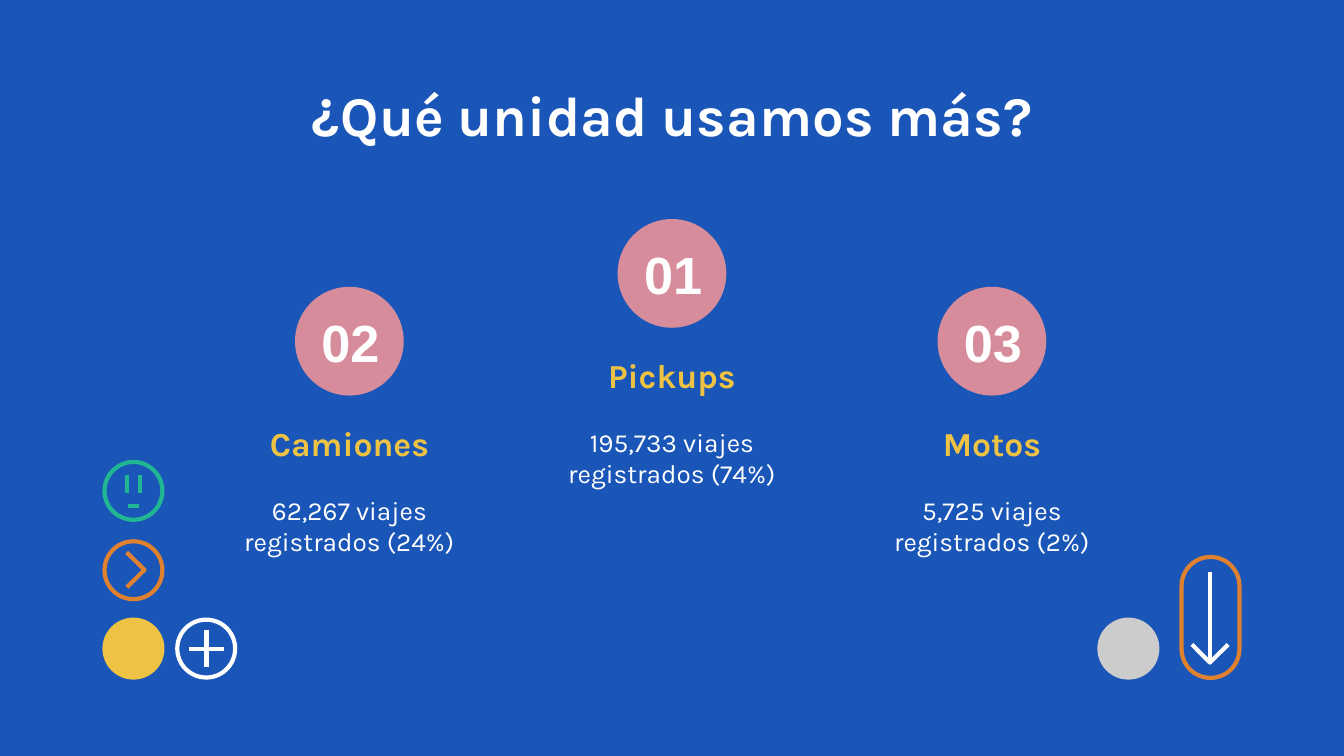
from lxml import etree
from pptx import Presentation
from pptx import util as u
from pptx.dml import color
from pptx.enum import shapes, text
from pptx.oxml import ns

BLUE, WHITE, YELLOW, PINK = "1A56B8", "FFFFFF", "EEC242", "D78C9B"
GREEN, ORANGE, GREY = "21B793", "E08130", "CCCCCC"
ICON = 31
BADGE = 56


def rgb(value):
    """Turn a hex string into a colour."""
    return color.RGBColor.from_string(value)


def apply(target, values):
    """Set every attribute named in a dict."""
    for name, value in values.items():
        setattr(target, name, value)


class Page:
    """Holds the style and the current slide; lengths are in points."""

    font = "Karla"
    stroke = 2.25
    frame = dict(word_wrap=True, margin_left=0, margin_right=0, margin_top=0,
                 margin_bottom=0, vertical_anchor=text.MSO_ANCHOR.MIDDLE,
                 auto_size=text.MSO_AUTO_SIZE.NONE)

    def __init__(self, slide, background):
        """Take a slide and colour its background."""
        self.slide = slide
        slide.background.fill.solid()
        slide.background.fill.fore_color.rgb = rgb(background)

    def set_words(self, box, words, size, tint, bold=False, centred=True, font=None):
        """Put formatted words in a text-bearing element."""
        apply(box.text_frame, self.frame)
        paragraph = box.text_frame.paragraphs[0]
        align = text.PP_ALIGN
        paragraph.alignment = align.CENTER if centred else align.LEFT
        run = paragraph.add_run()
        run.text = words
        apply(run.font, dict(name=font or self.font, size=u.Pt(size), bold=bold))
        run.font.color.rgb = rgb(tint)

    def title(self, words, left, top, width, height, **style):
        """Move and fill the title placeholder."""
        box = self.slide.shapes.title
        apply(box, dict(left=u.Pt(left), top=u.Pt(top),
                        width=u.Pt(width), height=u.Pt(height)))
        self.set_words(box, words, **style)

    def label(self, words, left, top, width, height, **style):
        """Add a text box."""
        box = self.slide.shapes.add_textbox(*map(u.Pt, (left, top, width, height)))
        self.set_words(box, words, **style)

    def outline(self, item, tint):
        """Give an element the common stroke."""
        item.line.color.rgb = rgb(tint)
        item.line.width = u.Pt(self.stroke)

    def finish(self, shape, tint, filled):
        """Stroke a shape, fill or empty it, and drop its shadow."""
        shape.shadow.inherit = False
        self.outline(shape, tint)
        if filled:
            shape.fill.solid()
            shape.fill.fore_color.rgb = rgb(tint)
        else:
            shape.fill.background()

    def circle(self, left, top, size, tint, filled=False):
        """Add a circle."""
        oval = self.slide.shapes.add_shape(
            shapes.MSO_SHAPE.OVAL, *map(u.Pt, (left, top, size, size)))
        self.finish(oval, tint, filled)

    def capsule(self, left, top, width, height, tint):
        """Add an outlined shape with fully round ends."""
        pill = self.slide.shapes.add_shape(
            shapes.MSO_SHAPE.ROUNDED_RECTANGLE,
            *map(u.Pt, (left, top, width, height)))
        pill.adjustments[0] = 0.5
        self.finish(pill, tint, False)

    def chevron(self, points, tint):
        """Add an open polyline."""
        start, *rest = [tuple(map(u.Pt, point)) for point in points]
        builder = self.slide.shapes.build_freeform(*start)
        builder.add_line_segments(rest, close=False)
        self.finish(builder.convert_to_shape(), tint, False)

    def line(self, x1, y1, x2, y2, tint):
        """Add a straight line without shadow."""
        stroke = self.slide.shapes.add_connector(
            shapes.MSO_CONNECTOR.STRAIGHT, *map(u.Pt, (x1, y1, x2, y2)))
        self.outline(stroke, tint)
        etree.SubElement(stroke._element.spPr, ns.qn("a:effectLst"))


def podium_place(page, rank, unit, trips, centre, top):
    """Draw a numbered badge with its unit and trip count."""
    page.circle(centre - BADGE / 2, top, BADGE, PINK, filled=True)
    page.label(rank, centre - 15, top + 12.7, 43, 31, size=28, tint=WHITE,
               bold=True, centred=False, font="Arial")
    left, width = centre - 72.7, 145.4
    page.label(unit, left, top + 68.4, width, 28, size=18, tint=YELLOW, bold=True)
    page.label(trips, left, top + 100.1, width, 53.3, size=14, tint=WHITE)


def left_icons(page):
    """Draw the face, chevron, dot and plus icons."""
    left, bottom = 56, 332
    page.circle(left, 247.5, ICON, GREEN)
    for eye in (68, 75):
        page.line(eye, 254.5, eye, 264.3, GREEN)
    page.line(68.6, 271.2, 74.6, 271.2, GREEN)
    page.circle(left, 290, ICON, ORANGE)
    page.chevron([(68, 314.6), (77.4, 305.3), (67.8, 295.9)], ORANGE)
    page.circle(left, bottom, ICON, YELLOW, filled=True)
    page.circle(95, bottom, ICON, WHITE)
    page.line(110.6, 337.8, 110.6, 357.2, WHITE)
    page.line(101.2, 347.6, 120, 347.6, WHITE)


def right_icons(page):
    """Draw the grey dot and the down arrow in its capsule."""
    page.circle(589, 332, ICON, GREY, filled=True)
    page.capsule(633, 298.4, ICON, 64.8, ORANGE)
    page.line(648.2, 306.5, 648.2, 355, WHITE)
    page.chevron([(638.6, 345.3), (648.2, 355), (658, 345.3)], WHITE)


deck = Presentation()
apply(deck, dict(slide_width=u.Pt(720), slide_height=u.Pt(405)))
page = Page(deck.slides.add_slide(deck.slide_layouts[5]), BLUE)
page.title("¿Qué unidad usamos más?", 56, 42.5, 608, 37.5,
           size=30, tint=WHITE, bold=True)
for place in (
    ("02", "Camiones", "62,267 viajes registrados (24%)", 187.2, 154.8),
    ("01", "Pickups", "195,733 viajes registrados (74%)", 360, 118.5),
    ("03", "Motos", "5,725 viajes registrados (2%)", 531.4, 154.8),
):
    podium_place(page, *place)
left_icons(page)
right_icons(page)
deck.save("out.pptx")
